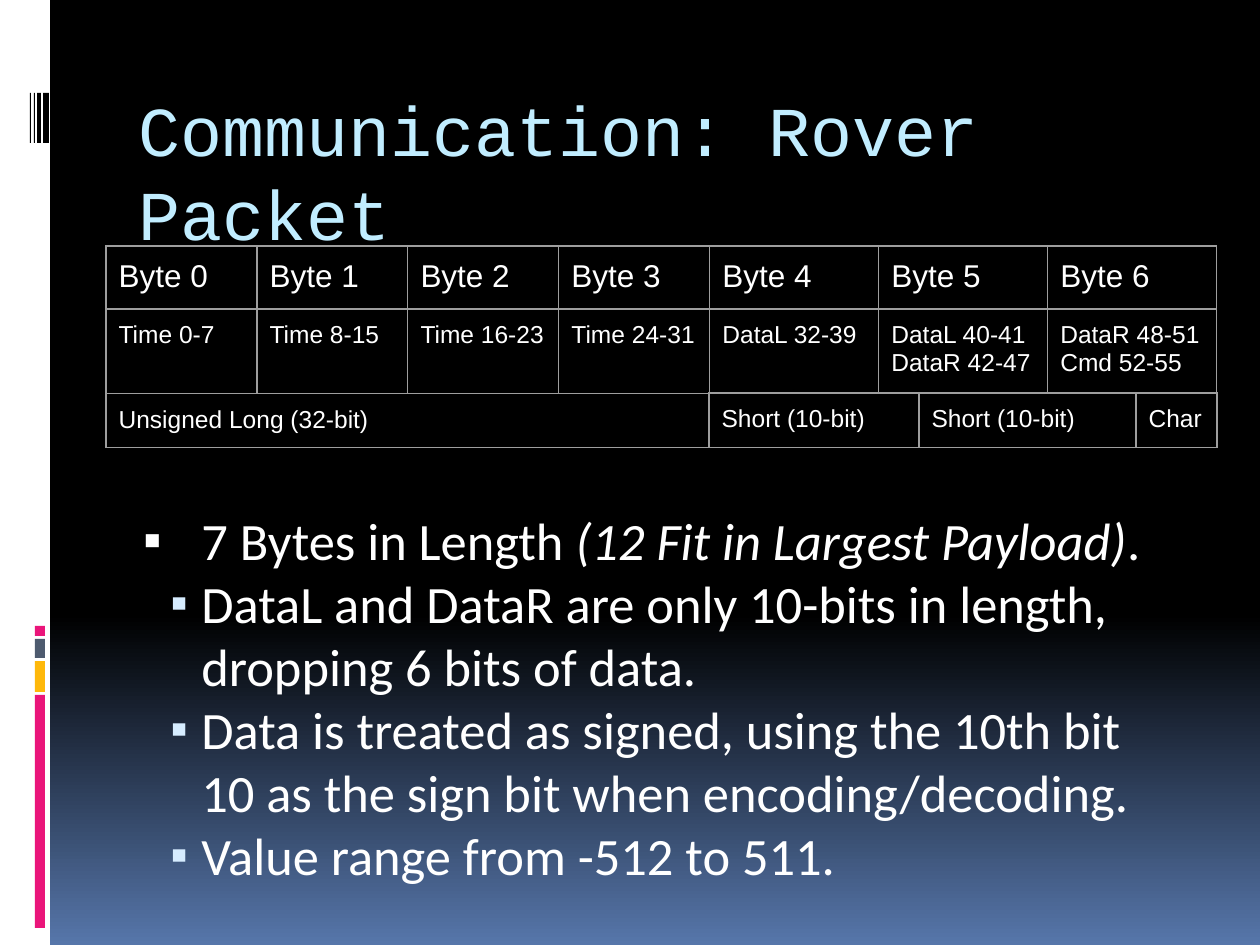
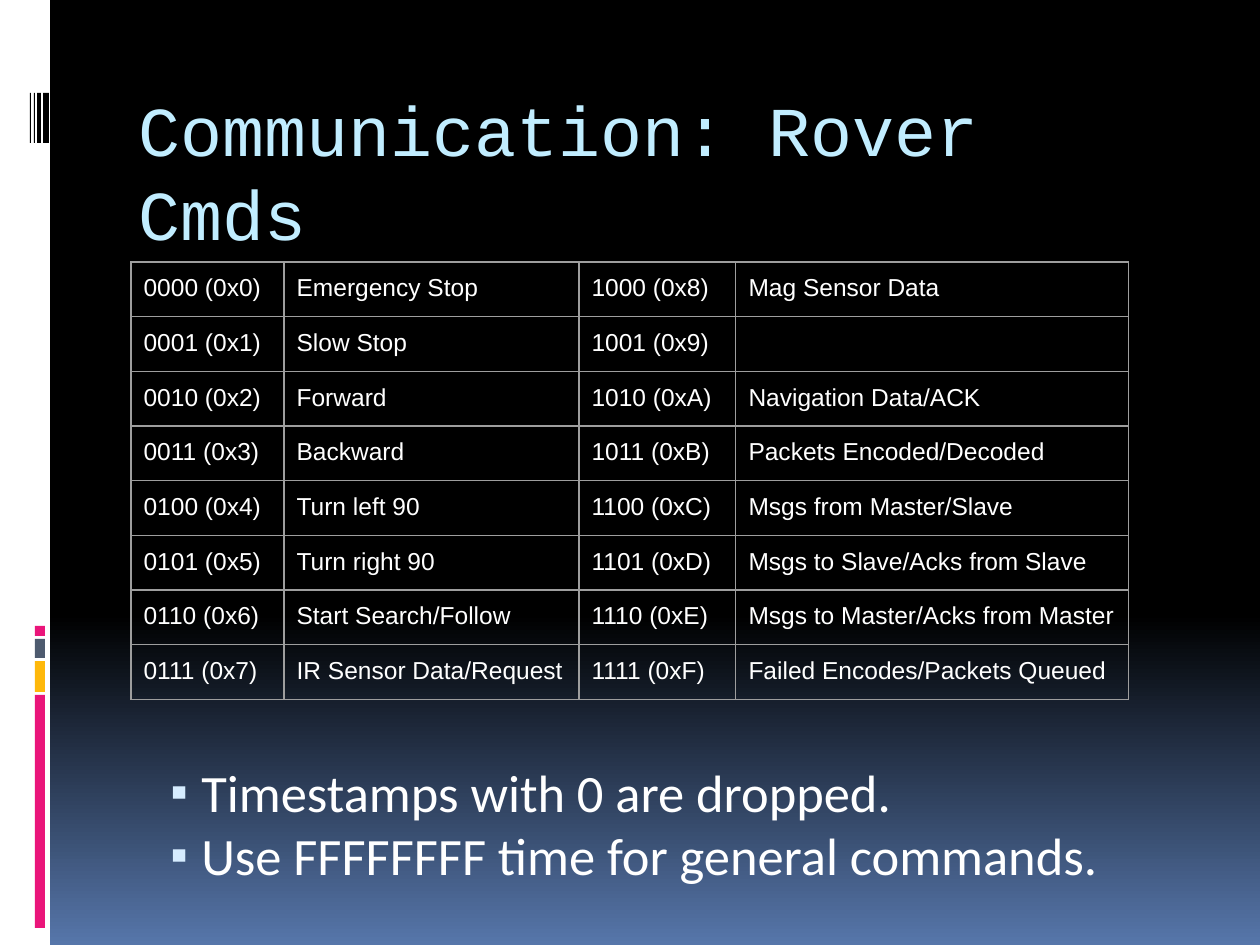
from copy import deepcopy

from lxml import etree
from pptx import Presentation
from pptx import util as u
from pptx.dml.color import RGBColor
from pptx.enum import shapes
from pptx.oxml.ns import qn

# Colours and fonts
WHITE = RGBColor(0xFF, 0xFF, 0xFF)
BLACK = RGBColor(0, 0, 0)
BLUE = RGBColor(0x56, 0x76, 0xAA)
PINK = RGBColor(0xEA, 0x15, 0x7A)
AMBER = RGBColor(0xFE, 0xB8, 0x0A)
SLATE = RGBColor(0x4E, 0x5B, 0x6F)
SKY = RGBColor(0xC1, 0xED, 0xFF)
PALE = RGBColor(0xD6, 0xEC, 0xFF)
GREY = RGBColor(0x9E, 0x9E, 0x9E)
TITLE_FONT, BODY_FONT, TABLE_FONT = "Courier New", "Calibri", "Arial"

# Side rail: left, top, width, height, colour
RAIL = [
    (0, 0, 50, 945, WHITE),
    (35, 695, 10, 233, PINK),
    (35, 661, 10, 31, AMBER),
    (35, 639, 10, 19, SLATE),
    (35, 626, 10, 10, PINK),
] + [(left, 93, width, 50, BLACK) for left, width in [(43, 6), (37, 4), (34, 1), (30, 1)]]

LINE = 63           # height of one body line
BODY_BOTTOM = 892   # both bullet lists end here
COMMANDS = [
    "Emergency Stop", "Slow Stop", "Forward", "Backward",
    "Turn left 90", "Turn right 90", "Start Search/Follow", "IR Sensor Data/Request",
    "Mag Sensor Data", "", "Navigation Data/ACK", "Packets Encoded/Decoded",
    "Msgs from Master/Slave", "Msgs to Slave/Acks from Slave",
    "Msgs to Master/Acks from Master", "Failed Encodes/Packets Queued",
]


def command_row(low):
    """One command from the lower half beside its partner eight codes on."""
    return [text for code in (low, low + 8)
            for text in (f"{code:04b} (0x{code:X})", COMMANDS[code])]


# A bullet is (hanging indent, bullet colour, bullet size %, [(text, italic), ...])
def point(text):
    return 31, PALE, 95, [(text, False)]


SLIDES = [
    {
        "title": "Communication: Rover Packet",
        "tables": [
            {
                "at": (106, 246),
                "cols": [151] * 4 + [169] * 3,
                "rows": [63, 84, 54],
                "sizes": [18, 14, 14],
                "merges": [(2, 0, 3), (2, 4, 6)],
                "cells": [
                    [f"Byte {number}" for number in range(7)],
                    ["Time 0-7", "Time 8-15", "Time 16-23", "Time 24-31", "DataL 32-39",
                     "DataL 40-41\nDataR 42-47", "DataR 48-51\nCmd 52-55"],
                    ["Unsigned Long (32-bit)"] + [""] * 6,
                ],
            },
            {
                "at": (709, 393),
                "cols": [210, 217, 81],
                "rows": [54],
                "sizes": [14],
                "merges": [],
                "cells": [["Short (10-bit)", "Short (10-bit)", "Char"]],
            },
        ],
        "lines": 6,
        "points": [
            (58, WHITE, 100, [("7 Bytes in Length ", False),
                              ("(12 Fit in Largest Payload)", True), (".", False)]),
            point("DataL and DataR are only 10-bits in length, dropping 6 bits of data."),
            point("Data is treated as signed, using the 10th bit 10 as the sign bit "
                  "when encoding/decoding."),
            point("Value range from -512 to 511."),
        ],
    },
    {
        "title": "Communication: Rover Cmds",
        "tables": [
            {
                "at": (131, 262),
                "cols": [153, 295, 157, 393],
                "rows": [437 / 8] * 8,
                "sizes": [14] * 8,
                "merges": [],
                "cells": [command_row(low) for low in range(8)],
            },
        ],
        "lines": 2,
        "points": [
            point("Timestamps with 0 are dropped."),
            point("Use FFFFFFFF time for general commands."),
        ],
    },
]


def px(length):
    return u.Emu(round(length * 914400 / 126))


def add_span(para, text, font, size, colour, italic=False):
    span = para.add_run()
    span.text = text
    span.font.name = font
    span.font.size = u.Pt(size)
    span.font.color.rgb = colour
    span.font.italic = italic


def add_box(page, left, top, width, height, top_inset=6):
    frame = page.shapes.add_textbox(*map(px, (left, top, width, height))).text_frame
    frame.word_wrap = True
    frame.margin_left = frame.margin_right = u.Inches(0.1)
    frame.margin_top, frame.margin_bottom = px(top_inset), px(6)
    return frame


def paint_background(page):
    fill = page.background.fill
    fill.gradient()
    fill.gradient_angle = 270
    first, last = fill.gradient_stops
    first.position, first.color.rgb = 0, BLACK
    last.position, last.color.rgb = 1, BLUE
    stops = page._element.find(".//" + qn("a:gsLst"))
    middle = deepcopy(stops[0])
    middle.set("pos", "65000")
    stops.insert(1, middle)


def add_rail(page):
    for left, top, width, height, colour in RAIL:
        bar = page.shapes.add_shape(shapes.MSO_SHAPE.RECTANGLE,
                                    *map(px, (left, top, width, height)))
        bar.shadow.inherit = False
        bar.fill.solid()
        bar.fill.fore_color.rgb = colour
        bar.line.fill.background()


def add_title(page, title):
    para = add_box(page, 126, 71, 1071, 126, top_inset=16).paragraphs[0]
    para.line_spacing = u.Pt(48)
    add_span(para, title, TITLE_FONT, 40, SKY)


def set_bullet(para, hanging, colour, percent):
    props = para._p.get_or_add_pPr()
    props.set("marL", str(px(63)))
    props.set("indent", str(-px(hanging)))
    tint = etree.SubElement(props, qn("a:buClr"))
    etree.SubElement(tint, qn("a:srgbClr"), val=str(colour))
    etree.SubElement(props, qn("a:buSzPct"), val=str(percent * 1000))
    etree.SubElement(props, qn("a:buFont"), typeface=TABLE_FONT)
    etree.SubElement(props, qn("a:buChar"), char="▪")


def add_points(page, points, lines):
    height = lines * LINE + 12
    frame = add_box(page, 126, BODY_BOTTOM - height, 1060, height)
    for index, (hanging, colour, percent, spans) in enumerate(points):
        para = frame.add_paragraph() if index else frame.paragraphs[0]
        para.line_spacing = u.Pt(36)
        set_bullet(para, hanging, colour, percent)
        for text, italic in spans:
            add_span(para, text, BODY_FONT, 30, WHITE, italic)


def style_cell(cell, text, size):
    cell.margin_left = cell.margin_right = u.Inches(0.1)
    cell.margin_top = cell.margin_bottom = u.Inches(0.1)
    props = cell._tc.get_or_add_tcPr()
    for side in ("lnL", "lnR", "lnT", "lnB"):
        border = etree.SubElement(props, qn("a:" + side), w=str(u.Pt(0.75)))
        paint = etree.SubElement(border, qn("a:solidFill"))
        etree.SubElement(paint, qn("a:srgbClr"), val=str(GREY))
    cell.fill.background()
    frame = cell.text_frame
    for index, line in enumerate(text.split("\n")):
        para = frame.add_paragraph() if index else frame.paragraphs[0]
        if line:
            add_span(para, line, TABLE_FONT, size, WHITE)
        # Empty cells need a text size too, or their rows grow
        etree.SubElement(para._p, qn("a:endParaRPr"), sz=str(size * 100))


def add_grid(page, grid):
    cols, rows = grid["cols"], grid["rows"]
    left, top = grid["at"]
    table = page.shapes.add_table(len(rows), len(cols), px(left), px(top),
                                  px(sum(cols)), px(sum(rows))).table
    table.first_row = table.horz_banding = False
    for column, width in zip(table.columns, cols):
        column.width = px(width)
    for row, height, texts, size in zip(table.rows, rows, grid["cells"], grid["sizes"]):
        row.height = px(height)
        for cell, text in zip(row.cells, texts):
            style_cell(cell, text, size)
    for row, start, end in grid["merges"]:
        table.cell(row, start).merge(table.cell(row, end))


def main():
    deck = Presentation()
    deck.slide_width, deck.slide_height = u.Inches(10), u.Inches(7.5)
    for content in SLIDES:
        page = deck.slides.add_slide(deck.slide_layouts[6])
        paint_background(page)
        add_rail(page)
        add_title(page, content["title"])
        add_points(page, content["points"], content["lines"])
        for grid in content["tables"]:
            add_grid(page, grid)
    deck.save("out.pptx")


if __name__ == "__main__":
    main()
